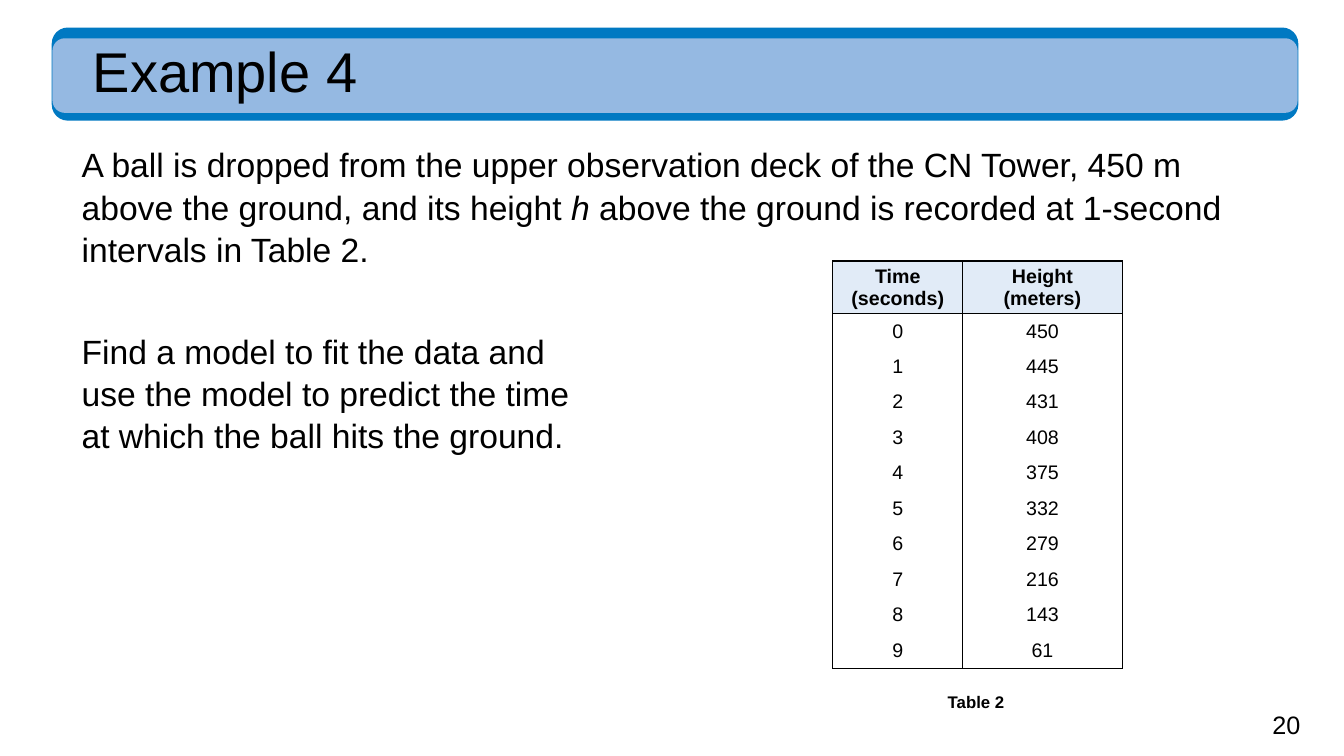
from dataclasses import dataclass

from lxml.etree import SubElement
from pptx import Presentation
from pptx.dml.color import RGBColor as RGB
from pptx.enum.shapes import MSO_SHAPE as Preset
from pptx.enum.text import MSO_ANCHOR as Anchor, MSO_AUTO_SIZE as AutoSize, PP_ALIGN as Align
from pptx.oxml import parse_xml
from pptx.oxml.ns import nsdecls, qn
from pptx.util import Inches, Pt


@dataclass(frozen=True)
class Theme:
    font: str = "Arial"
    ink: RGB = RGB(0, 0, 0)
    band: RGB = RGB(0x00, 0x79, 0xC2)
    panel: RGB = RGB(0x95, 0xB9, 0xE2)
    header: RGB = RGB(0xE1, 0xEB, 0xF7)
    title: int = 40
    body: int = 24
    number: int = 18
    cell: int = 14
    caption: int = 12


THEME = Theme()
HEADINGS = ("Time (seconds)", "Height (meters)")
HEIGHTS = (450, 445, 431, 408, 375, 332, 279, 216, 143, 61)


def place(shape, left, top, width, height):
    shape.left, shape.top = Inches(left), Inches(top)
    shape.width, shape.height = Inches(width), Inches(height)


def set_font(para, size, bold=False):
    font = para.font
    font.name, font.size, font.bold = THEME.font, Pt(size), bold
    font.color.rgb = THEME.ink


def write_text(shape, spans, size, spacing=1.0, bold=False, margin=0.0):
    frame = shape.text_frame
    frame.word_wrap = True
    frame.auto_size = AutoSize.NONE
    frame.vertical_anchor = Anchor.TOP
    frame.margin_left = frame.margin_right = Inches(margin)
    frame.margin_top = frame.margin_bottom = Inches(margin / 2)
    para = frame.paragraphs[0]
    para.alignment = Align.LEFT
    para.line_spacing = spacing
    para.space_before = Pt(0)
    properties = para._p.get_or_add_pPr()
    properties.set("marL", "0")
    properties.set("indent", "0")
    SubElement(properties, qn("a:buNone"))
    set_font(para, size, bold)
    for text, italic in spans:
        span = para.add_run()
        span.text = text
        if italic:
            span.font.italic = True


def add_bar(page, depth, color, left, top, width, height):
    bar = page.shapes.add_shape(
        Preset.ROUNDED_RECTANGLE, Inches(left), Inches(top), Inches(width), Inches(height))
    bar.shadow.inherit = False
    bar.fill.solid()
    bar.fill.fore_color.rgb = color
    bar.line.fill.background()
    page.shapes._spTree.insert(2 + depth, bar._element)
    return bar


def build_heading(page, left, top, width, height):
    band = add_bar(page, 0, THEME.band, left, top, width, height)
    band.line.color.rgb = THEME.band
    band.line.width = Pt(1)
    add_bar(page, 1, THEME.panel, left, top + 0.1, width, height - 0.17)
    title = page.shapes.title
    place(title, left + 0.4, top + 0.16, width - 0.85, height - 0.17)
    write_text(title, [("Example 4", False)], THEME.title, spacing=0.9)


def build_passage(placeholder, spans, left, top, width, height):
    place(placeholder, left, top, width, height)
    write_text(placeholder, spans, THEME.body, spacing=1.05)


def set_borders(cell, edges):
    properties = cell._tc.get_or_add_tcPr()
    for position, edge in enumerate("LRTB"):
        paint = f'<a:solidFill><a:srgbClr val="{THEME.ink}"/></a:solidFill>'
        if edge not in edges:
            paint = "<a:noFill/>"
        line = f'<a:ln{edge} {nsdecls("a")} w="{int(Pt(1))}">{paint}</a:ln{edge}>'
        properties.insert(position, parse_xml(line))


def fill_cell(cell, text, is_header, edges):
    cell.text = text
    cell.vertical_anchor = Anchor.MIDDLE
    cell.margin_left = cell.margin_right = Inches(0.09)
    cell.margin_top = cell.margin_bottom = Inches(0.04)
    para = cell.text_frame.paragraphs[0]
    para.alignment = Align.CENTER
    set_font(para, THEME.cell, bold=is_header)
    if is_header:
        cell.fill.solid()
        cell.fill.fore_color.rgb = THEME.header
    else:
        cell.fill.background()
    set_borders(cell, edges)


def build_table(page, left, top, width, height):
    records = [HEADINGS] + [(str(time), str(fall)) for time, fall in enumerate(HEIGHTS)]
    table = page.shapes.add_table(
        len(records), 2, Inches(left), Inches(top), Inches(width), Inches(height)).table
    table.first_row = table.horz_banding = False
    table.columns[0].width = Inches(1.29)
    table.columns[1].width = Inches(width - 1.29)
    header_height = 0.52
    for index, record in enumerate(records):
        is_header = index == 0
        row_height = header_height if is_header else (height - header_height) / len(HEIGHTS)
        table.rows[index].height = Inches(row_height)
        edges = "LR" + ("T" if index < 2 else "")
        edges += "B" if index in (0, len(records) - 1) else ""
        for column, text in enumerate(record):
            fill_cell(table.cell(index, column), text, is_header, edges)


def build_label(page, text, size, left, top, width, height, **style):
    label = page.shapes.add_textbox(Inches(left), Inches(top), Inches(width), Inches(height))
    write_text(label, [(text, False)], size, **style)


def build_example(deck):
    page = deck.slides.add_slide(deck.slide_layouts[3])
    build_heading(page, 0.52, 0.28, 12.35, 0.91)
    build_passage(page.placeholders[1], [
        ("A ball is dropped from the upper observation deck of the CN Tower, 450 m "
         "above the ground, and its height ", False),
        ("h ", True),
        ("above the ground is recorded at 1-second intervals in Table 2.", False),
    ], 0.81, 1.41, 11.72, 1.18)
    build_passage(page.placeholders[2], [
        ("Find a model to fit the data and use the model to predict the time "
         "at which the ball hits the ground.", False),
    ], 0.81, 3.26, 5.2, 1.21)
    build_table(page, 8.26, 2.59, 2.87, 4.04)
    build_label(page, "Table 2", THEME.caption, 9.4, 6.88, 1.06, 0.31, spacing=0.9, bold=True)
    build_label(page, "20", THEME.number, 12.52, 6.99, 0.71, 0.4, margin=0.1)


def main():
    deck = Presentation()
    deck.slide_width, deck.slide_height = Inches(13.33), Inches(7.5)
    build_example(deck)
    deck.save("out.pptx")


if __name__ == "__main__":
    main()
